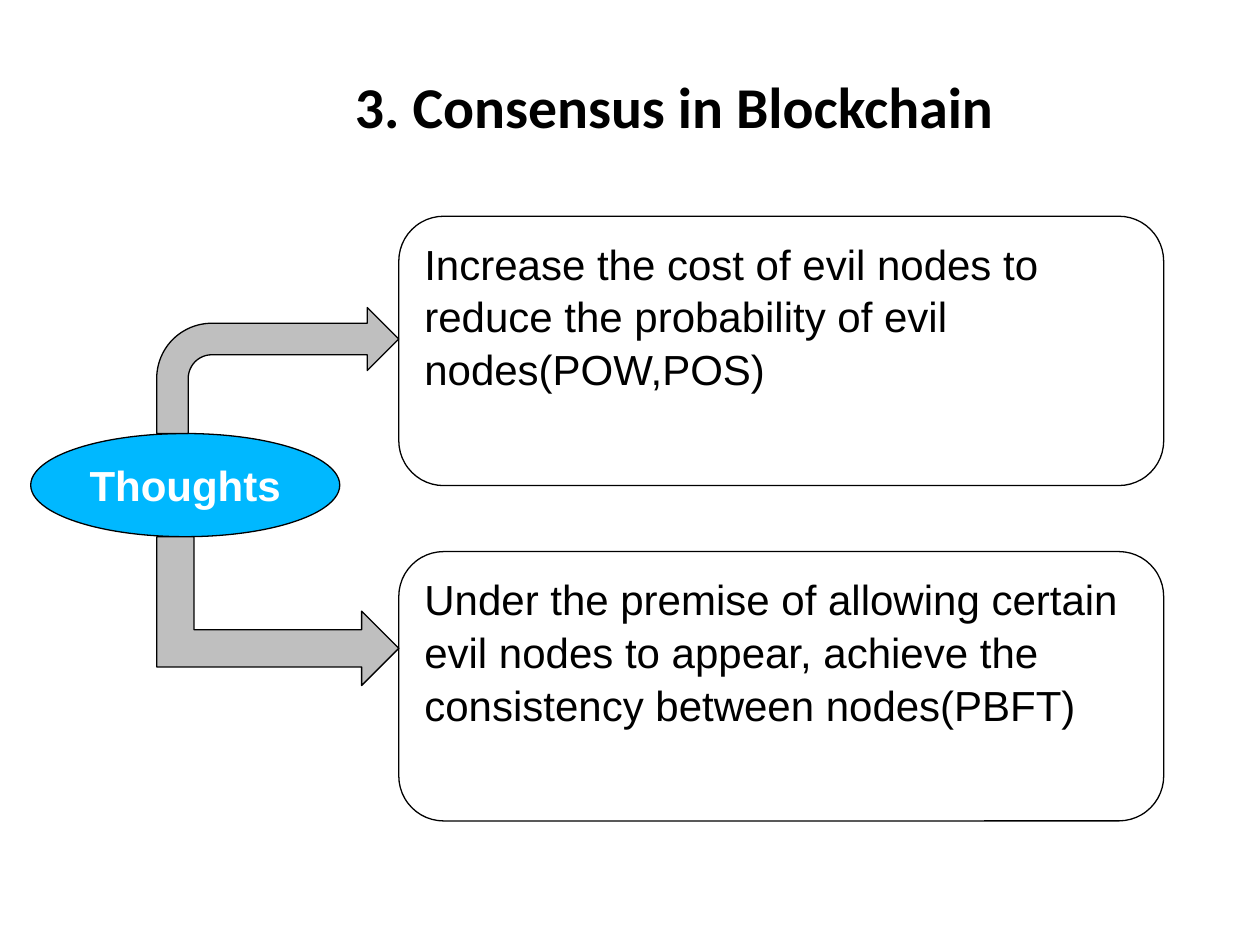
from pptx import Presentation
from pptx.dml.color import RGBColor
from pptx.enum.shapes import MSO_SHAPE as Preset
from pptx.enum.text import MSO_ANCHOR as Anchor, PP_ALIGN as Align
from pptx.util import Cm, Pt


def color(value):
    return RGBColor.from_string(value)


class ThoughtsSlide:
    """Holds the style and the current slide."""

    ink, paper, accent, arrow_gray = "000000", "FFFFFF", "00B8FF", "BFBFBF"
    body_font, title_font = "Arial", "Calibri"
    body_size, title_size, line_width = 24, 33, 0.75

    def __init__(self, deck):
        self.slide = deck.slides.add_slide(deck.slide_layouts[6])

    def set_text(self, frame, text, font, size, ink, bold=False, align=Align.LEFT, anchor=Anchor.TOP):
        frame.text = text
        frame.vertical_anchor = anchor
        paragraph = frame.paragraphs[0]
        paragraph.alignment = align
        style = paragraph.runs[0].font
        style.name, style.size, style.bold = font, Pt(size), bold
        style.color.rgb = color(ink)

    def title(self, text, left, top, width, height):
        heading = self.slide.shapes.add_textbox(Cm(left), Cm(top), Cm(width), Cm(height))
        heading.text_frame.word_wrap = True
        self.set_text(heading.text_frame, text, self.title_font, self.title_size, self.ink,
                      True, Align.CENTER, Anchor.MIDDLE)

    def outline(self, preset, left, top, width, height, fill=None):
        shape = self.slide.shapes.add_shape(preset, Cm(left), Cm(top), Cm(width), Cm(height))
        shape.shadow.inherit = False
        if fill:
            shape.fill.solid()
            shape.fill.fore_color.rgb = color(fill)
        else:
            shape.fill.background()
        shape.line.color.rgb = color(self.ink)
        shape.line.width = Pt(self.line_width)
        return shape

    def topic(self, text, left, top, width, height):
        oval = self.outline(Preset.OVAL, left, top, width, height, self.accent)
        oval.text_frame.word_wrap = False
        self.set_text(oval.text_frame, text, self.body_font, self.body_size, self.paper,
                      True, Align.CENTER, Anchor.MIDDLE)

    def arrow(self, preset, left, top, width, height, rotation=0):
        self.outline(preset, left, top, width, height, self.arrow_gray).rotation = rotation

    def idea(self, text, left, top, width, height):
        card = self.outline(Preset.ROUNDED_RECTANGLE, left, top, width, height)
        card.text_frame.word_wrap = True
        self.set_text(card.text_frame, text, self.body_font, self.body_size, self.ink)
        card.text_frame.paragraphs[0].line_spacing = 1.05


def main():
    deck = Presentation()
    deck.slide_width, deck.slide_height = Cm(25.4), Cm(19.05)
    page = ThoughtsSlide(deck)
    page.title("3. Consensus in Blockchain", 2.18, 0.56, 22.83, 3.15)
    page.topic("Thoughts", 0.62, 8.74, 6.23, 2.08)
    page.arrow(Preset.BENT_UP_ARROW, 4.1, 9.88, 3, 4.88, rotation=90)
    page.arrow(Preset.BENT_ARROW, 3.16, 6.2, 4.88, 2.54)
    ideas = (
        "Increase the cost of evil nodes to reduce the probability of evil nodes(POW,POS)",
        "Under the premise of allowing certain evil nodes to appear, "
        "achieve the consistency between nodes(PBFT)",
    )
    first_top, pitch = 4.36, 6.76
    for row, idea in enumerate(ideas):
        page.idea(idea, 8.04, first_top + row * pitch, 15.42, 5.43)
    deck.save("out.pptx")


if __name__ == "__main__":
    main()
